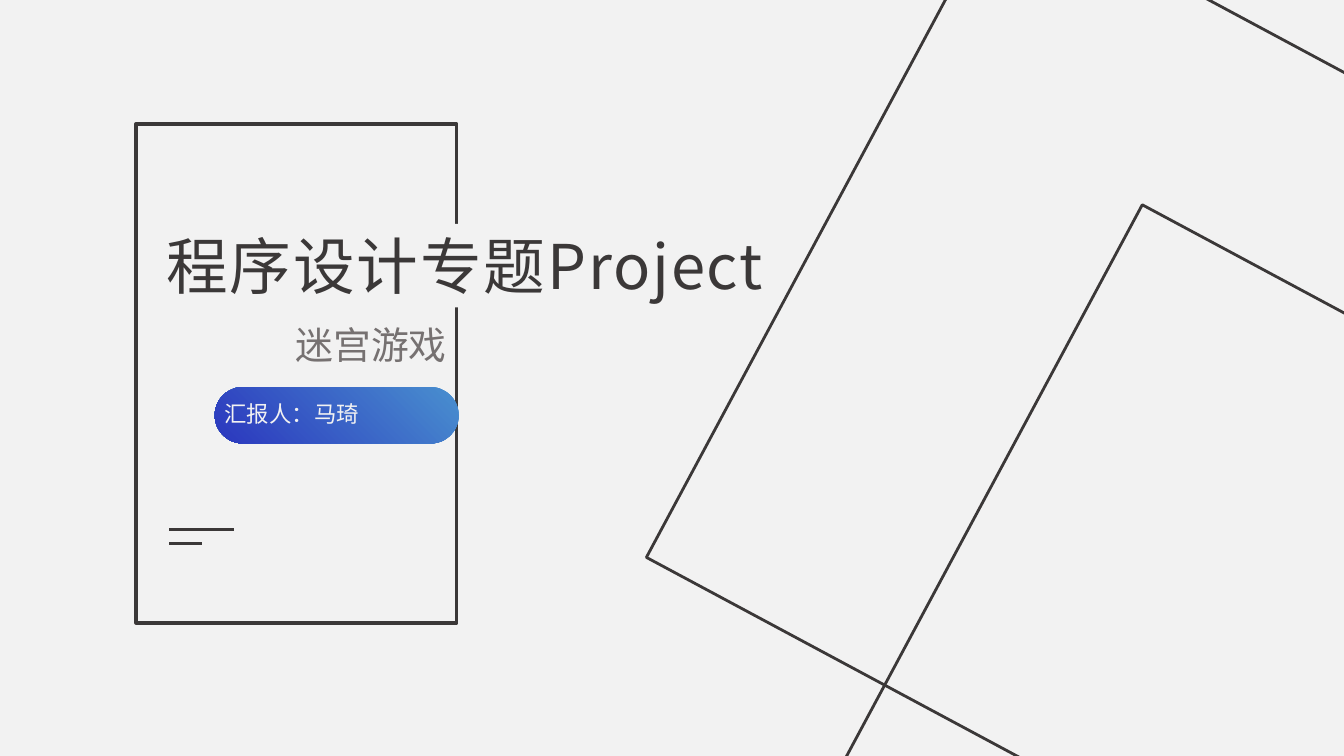
from lxml.etree import SubElement
from pptx import Presentation
from pptx.dml.color import RGBColor
from pptx.enum.shapes import MSO_CONNECTOR, MSO_SHAPE
from pptx.enum.text import MSO_ANCHOR, MSO_AUTO_SIZE, PP_ALIGN
from pptx.oxml.ns import qn
from pptx.util import Inches, Pt

INK = RGBColor(0x3B, 0x38, 0x38)
GREY = RGBColor(0x76, 0x71, 0x71)
PAPER = RGBColor(0xF2, 0xF2, 0xF2)
SKY = RGBColor(0x49, 0x8F, 0xCF)
INDIGO = RGBColor(0x2B, 0x37, 0xBE)
CJK = "Noto Sans CJK SC"
LATIN = "Lato"


def place(shape, left, top, width, height):
    shape.left, shape.top = Inches(left), Inches(top)
    shape.width, shape.height = Inches(width), Inches(height)


def write(shape, texts, size, color, align=PP_ALIGN.LEFT, wrap=True):
    """Fill one paragraph with (text, font name) runs and return it."""
    frame = shape.text_frame
    frame.word_wrap = wrap
    frame.auto_size = MSO_AUTO_SIZE.NONE
    frame.vertical_anchor = MSO_ANCHOR.TOP
    paragraph = frame.paragraphs[0]
    paragraph.alignment = align
    paragraph.space_before = Pt(0)
    paragraph.font.size = Pt(size)
    paragraph.font.color.rgb = color
    for text, font_name in texts:
        run = paragraph.add_run()
        run.text = text
        run.font.name = font_name
        SubElement(run.font._element, qn("a:ea"), typeface=CJK)
    return paragraph


def add_outline(slide, left, top, width, height, weight, rotation=0):
    outline = slide.shapes.add_shape(
        MSO_SHAPE.RECTANGLE, Inches(left), Inches(top), Inches(width), Inches(height))
    outline.shadow.inherit = False
    outline.fill.background()
    outline.line.color.rgb = INK
    outline.line.width = Pt(weight)
    outline.rotation = rotation
    return outline


def add_rule(slide, left, top, length):
    rule = slide.shapes.add_connector(
        MSO_CONNECTOR.STRAIGHT, Inches(left), Inches(top), Inches(left + length), Inches(top))
    rule.line.color.rgb = INK
    rule.line.width = Pt(2)
    SubElement(rule.element.spPr, qn("a:effectLst"))


def add_presenter_pill(slide, left, top, width, height):
    pill = slide.shapes.add_shape(
        MSO_SHAPE.ROUNDED_RECTANGLE, Inches(left), Inches(top), Inches(width), Inches(height))
    pill.adjustments[0] = 0.5
    pill.shadow.inherit = False
    pill.line.fill.background()
    pill.fill.gradient()
    pill.fill.gradient_angle = 225
    for stop, color in zip(pill.fill.gradient_stops, (SKY, INDIGO)):
        stop.color.rgb = color
    label = slide.shapes.add_textbox(
        Inches(left), Inches(top + 0.08), Inches(width + 0.1), Inches(0.37))
    write(label, [("汇报人：", CJK), ("马琦", LATIN)], 16, PAPER)


def add_title_card(slide, left, top, width, height):
    """Place the frame with the title across its right side."""
    title, subtitle = slide.placeholders
    frame = add_outline(slide, left, top, width, height, 2.5)
    title.element.addprevious(frame.element)

    place(title, left + 0.2, top + 0.99, 6.88, 0.83)
    title.fill.solid()
    title.fill.fore_color.rgb = PAPER
    heading = write(title, [("程序设计专题Project", CJK)], 44, INK)
    heading.line_spacing = Pt(52)
    heading.runs[0].font._element.set("spc", "130")

    place(subtitle, left + 1.47, top + 1.91, 1.72, 0.56)
    write(subtitle, [("迷宫游戏", LATIN)], 27, GREY, PP_ALIGN.CENTER, wrap=False)

    add_presenter_pill(slide, left + 0.78, top + 2.61, 2.42, 0.56)
    for offset, length in ((4.02, 0.64), (4.16, 0.32)):
        add_rule(slide, left + 0.33, top + offset, length)


def add_tilted_squares(slide, side):
    for left, top in ((7.74, 0.24), (9.11, 3.36)):
        add_outline(slide, left, top, side, side, 2, rotation=298.2)


def main():
    presentation = Presentation()
    presentation.slide_width = Inches(13.33)
    presentation.slide_height = Inches(7.5)
    slide = presentation.slides.add_slide(presentation.slide_layouts[0])
    slide.background.fill.solid()
    slide.background.fill.fore_color.rgb = PAPER
    add_title_card(slide, 1.35, 1.23, 3.18, 4.95)
    add_tilted_squares(slide, 7.51)
    presentation.save("out.pptx")


if __name__ == "__main__":
    main()
